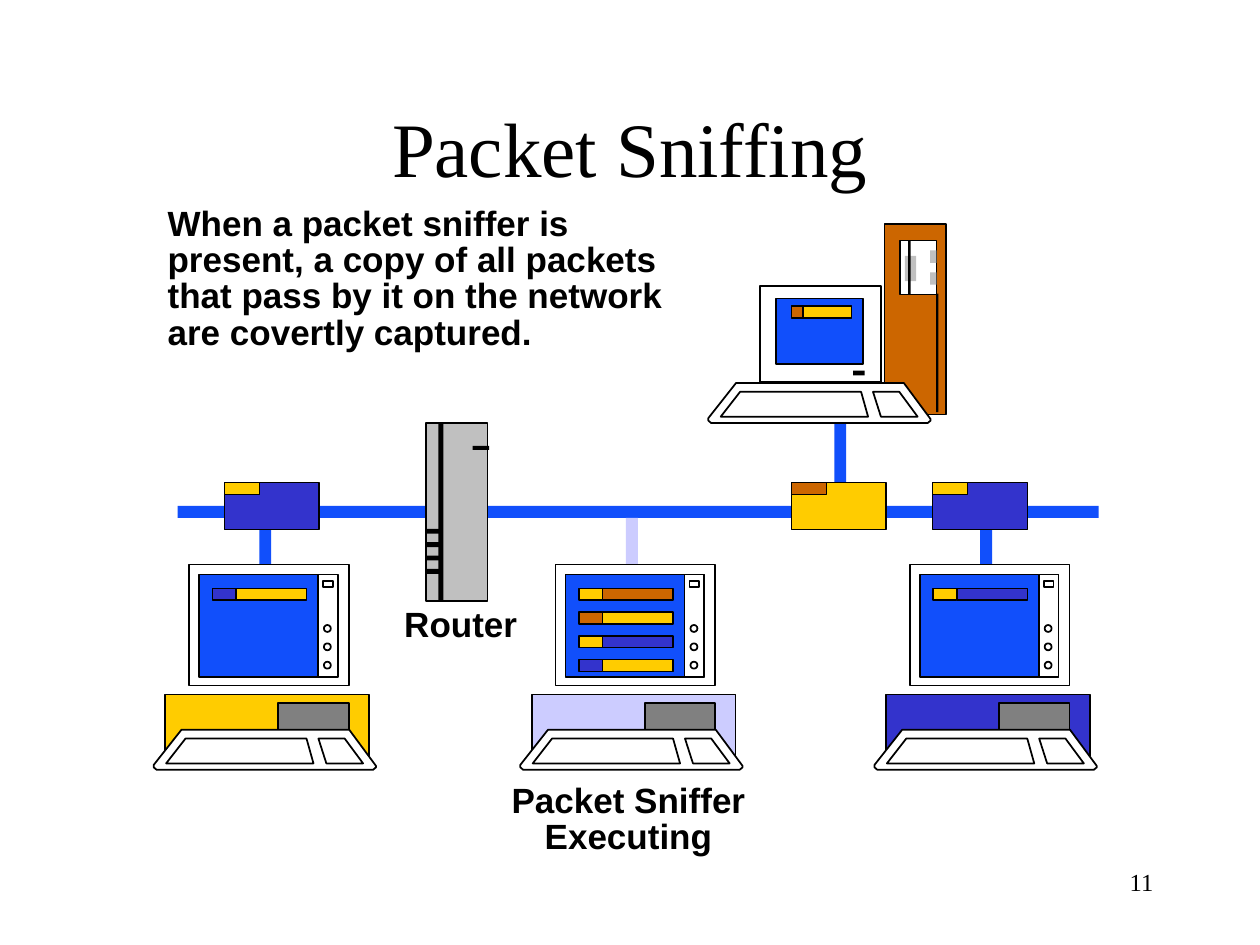
"""Build the Packet Sniffing slide: a network diagram with a sniffer tapping the cable."""
from pptx import Presentation
from pptx.dml.color import RGBColor
from pptx.enum.shapes import MSO_SHAPE
from pptx.enum.text import MSO_ANCHOR, PP_ALIGN
from pptx.util import Cm, Pt

BLACK = RGBColor(0x00, 0x00, 0x00)
WHITE = RGBColor(0xFF, 0xFF, 0xFF)
BLUE = RGBColor(0x11, 0x4F, 0xFB)
INDIGO = RGBColor(0x33, 0x33, 0xCC)
LILAC = RGBColor(0xCC, 0xCC, 0xFF)
YELLOW = RGBColor(0xFF, 0xCC, 0x00)
ORANGE = RGBColor(0xCC, 0x66, 0x00)
SILVER = RGBColor(0xC0, 0xC0, 0xC0)
GRAY = RGBColor(0x80, 0x80, 0x80)

prs = Presentation()
prs.slide_width, prs.slide_height = Cm(25.4), Cm(19.05)
s = prs.slides.add_slide(prs.slide_layouts[5])


def paint(sp, fill, line):
    sp.shadow.inherit = False
    sp.fill.solid()
    sp.fill.fore_color.rgb = fill
    if line:
        sp.line.color.rgb = BLACK
        sp.line.width = Pt(line)
    else:
        sp.line.fill.background()


def box(x, y, w, h, fill, line=0, kind=MSO_SHAPE.RECTANGLE):
    sp = s.shapes.add_shape(kind, Cm(x), Cm(y), Cm(w), Cm(h))
    paint(sp, fill, line)


title = s.shapes.title
title.left, title.top, title.width, title.height = Cm(1.9), Cm(1.7), Cm(21.6), Cm(3.18)
tf = title.text_frame
tf.text = "Packet Sniffing"
tf.vertical_anchor = MSO_ANCHOR.TOP
tf.margin_top = Cm(0.33)
p = tf.paragraphs[0]
p.alignment = PP_ALIGN.CENTER
p.font.name, p.font.size, p.font.color.rgb = "Times New Roman", Pt(44), BLACK

stations = [
    (3.81, YELLOW, BLUE, [(INDIGO, YELLOW)]),
    (11.2, LILAC, LILAC, [(YELLOW, ORANGE), (ORANGE, YELLOW), (YELLOW, INDIGO), (INDIGO, YELLOW)]),
    (18.34, INDIGO, BLUE, [(YELLOW, INDIGO)]),
]

box(3.58, 10.2, 18.57, 0.24, BLUE)
box(16.82, 8.3, 0.24, 1.9, BLUE)

for x, case, drop, packets in stations:
    box(x + 1.42, 10.44, 0.24, 0.94, drop)
    box(x - 0.48, 14, 4.11, 1.24, case, 1)
    box(x + 1.8, 14.17, 1.42, 0.58, GRAY, 1)
    box(x, 11.38, 3.22, 2.44, WHITE, 1)
    box(x + 0.2, 11.58, 2.79, 2.07, BLUE, 1)
    box(x + 2.6, 11.58, 0.4, 2.07, WHITE, 1)
    box(x + 2.7, 11.71, 0.2, 0.13, WHITE, 1)
    for i in range(3):
        box(x + 2.72, 12.6 + 0.37 * i, 0.14, 0.14, WHITE, 1, MSO_SHAPE.OVAL)
    for i, (header, data) in enumerate(packets):
        y = 11.86 + 0.48 * i
        box(x + 0.47, y, 0.48, 0.24, header, 0.75)
        box(x + 0.95, y, 1.42, 0.24, data, 0.75)

box(17.83, 4.52, 1.24, 3.84, ORANGE, 1)
box(18.14, 4.85, 0.74, 1.09, WHITE, 1)
box(18.87, 5.92, 0.05, 2.39, BLACK)
box(18.24, 5.16, 0.23, 0.51, SILVER)
box(18.31, 4.85, 0.05, 1.09, BLACK)
for y in (5.05, 5.49):
    box(18.75, y, 0.13, 0.25, SILVER)
box(15.32, 5.77, 2.44, 1.93, WHITE, 1)
box(15.65, 6.02, 1.75, 1.32, BLUE, 1)
box(17.2, 7.47, 0.23, 0.1, BLACK)
box(15.95, 6.17, 0.24, 0.24, ORANGE, 0.75)
box(16.19, 6.17, 0.97, 0.24, YELLOW, 0.75)

keyboard_parts = [
    [(0.56, 0), (3.94, 0), (4.48, 0.73), (4.48, 0.76), (4.42, 0.81), (0.06, 0.81), (0, 0.76), (0, 0.71)],
    [(0.64, 0.18), (3.08, 0.18), (3.22, 0.68), (0.25, 0.68)],
    [(3.32, 0.18), (3.85, 0.18), (4.22, 0.68), (3.48, 0.68)],
]
keyboards = [(x - 0.71, 14.71) for x, *_ in stations] + [(14.28, 7.72)]
for left, top in keyboards:
    for part in keyboard_parts:
        pts = [(Cm(left + dx), Cm(top + dy)) for dx, dy in part]
        builder = s.shapes.build_freeform(*pts[0])
        builder.add_line_segments(pts[1:], close=True)
        paint(builder.convert_to_shape(), WHITE, 1)

for x, data, header in [(4.52, INDIGO, YELLOW), (15.95, YELLOW, ORANGE), (18.8, INDIGO, YELLOW)]:
    box(x, 9.73, 1.91, 0.95, data, 0.75)
    box(x, 9.73, 0.71, 0.24, header, 0.75)

box(8.59, 8.53, 1.24, 3.58, SILVER, 1)
box(8.84, 8.53, 0.1, 3.58, BLACK)
for i in range(4):
    box(8.6, 10.66 + 0.27 * i, 0.28, 0.1, BLACK)
box(9.53, 8.99, 0.33, 0.08, BLACK)

labels = [
    (3.1, 4.04, 11.4, 3.2, True, PP_ALIGN.LEFT,
     ["When a packet sniffer is present, a copy of all packets "
      "that pass by it on the network are covertly captured."]),
    (10.03, 15.67, 5.28, 1.75, False, PP_ALIGN.CENTER, ["Packet Sniffer", "Executing"]),
    (7.87, 12.12, 2.84, 1.02, False, PP_ALIGN.LEFT, ["Router"]),
]
for x, y, w, h, wrap, align, lines in labels:
    tf = s.shapes.add_textbox(Cm(x), Cm(y), Cm(w), Cm(h)).text_frame
    tf.word_wrap = wrap
    tf.margin_left = tf.margin_right = Cm(0.28)
    tf.margin_top = tf.margin_bottom = Cm(0.15)
    tf.text = "\n".join(lines)
    for p in tf.paragraphs:
        p.alignment = align
        p.line_spacing = 0.86
        p.font.name, p.font.size, p.font.bold = "Arial", Pt(20), True
        p.font.color.rgb = BLACK

tf = s.shapes.add_textbox(Cm(18.2), Cm(17.35), Cm(5.3), Cm(1.27)).text_frame
tf.word_wrap = True
tf.text = "11"
p = tf.paragraphs[0]
p.alignment = PP_ALIGN.RIGHT
p.font.name, p.font.size, p.font.color.rgb = "Times New Roman", Pt(14), BLACK

prs.save("out.pptx")
